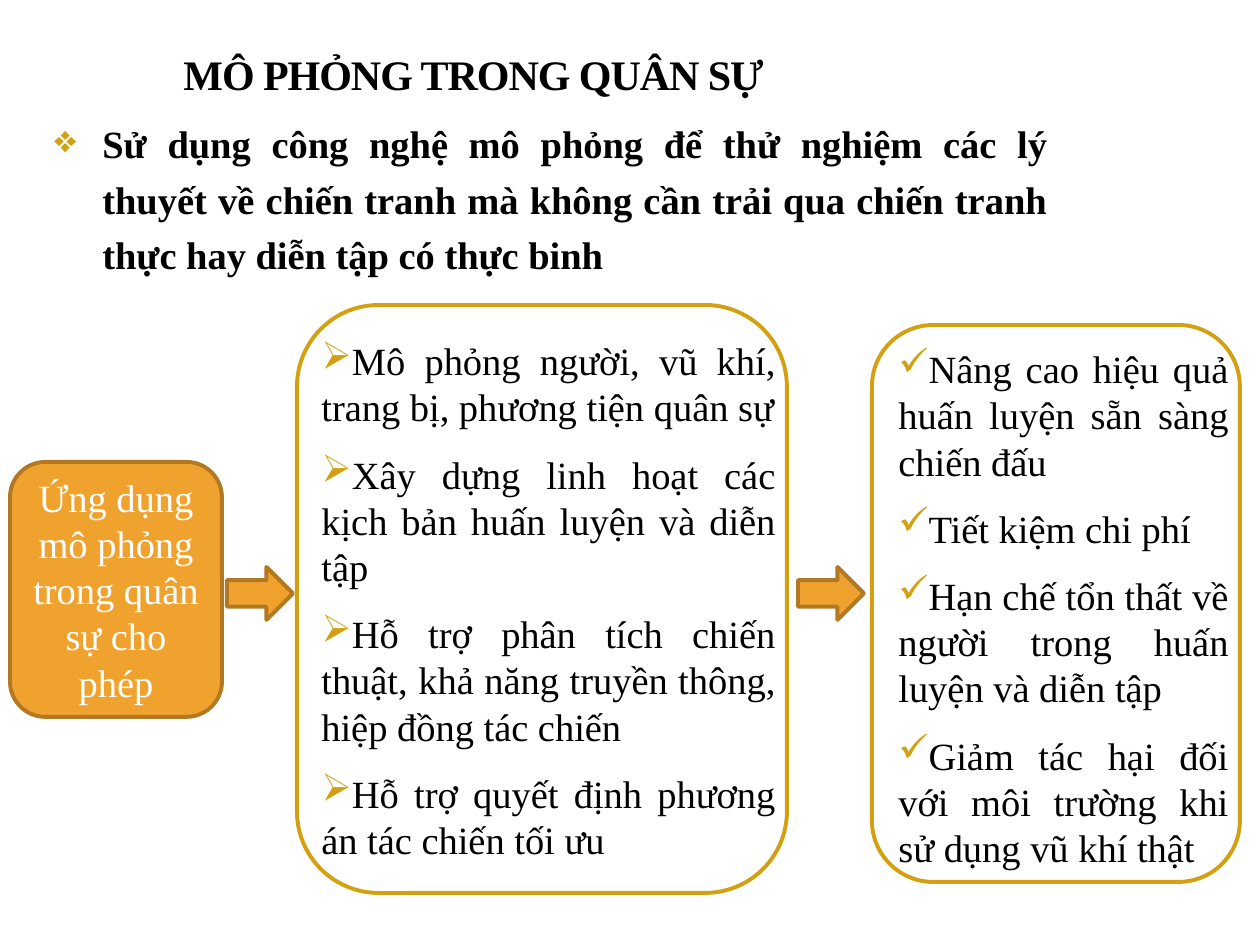
from lxml.etree import SubElement
from pptx import Presentation
from pptx.dml.color import RGBColor
from pptx.enum.shapes import MSO_SHAPE as Shape
from pptx.enum.text import MSO_ANCHOR as Anchor, MSO_AUTO_SIZE as AutoSize, PP_ALIGN as Align
from pptx.oxml.ns import qn
from pptx.util import Pt

PX = 914400 / 126
FONT = "Times New Roman"
COLORS = {
    "black": "000000",
    "white": "FFFFFF",
    "orange": "F0A22E",
    "brown": "B27822",
    "gold": "D2A010",
}


def emu(px):
    return round(px * PX)


def color(name):
    return RGBColor.from_string(COLORS[name])


def write(para, text, size=22, ink="black", bold=False, align=Align.JUSTIFY,
          bullet=None, indent=0, line=None, before=0, after=0, tracking=None):
    if bullet:
        props = para._p.get_or_add_pPr()
        props.set("marL", str(emu(indent)))
        props.set("indent", str(-emu(indent)))
        tint = SubElement(props, qn("a:buClr"))
        SubElement(tint, qn("a:srgbClr"), val=COLORS["gold"])
        SubElement(props, qn("a:buChar"), char=bullet)
    para.alignment = align
    para.space_before = Pt(before)
    para.space_after = Pt(after)
    if line:
        para.line_spacing = line
    span = para.add_run()
    span.text = text
    span.font.name = FONT
    span.font.size = Pt(size)
    span.font.bold = bold
    span.font.color.rgb = color(ink)
    if tracking:
        span._r.get_or_add_rPr().set("spc", str(round(tracking * 100)))


class SlideBuilder:
    def __init__(self, deck):
        self.page = deck.slides.add_slide(deck.slide_layouts[6])

    def shape(self, kind, left, top, width, height, fill, line, text=None):
        shape = self.page.shapes.add_shape(kind, *map(emu, (left, top, width, height)))
        shape.shadow.inherit = False
        shape.fill.solid()
        shape.fill.fore_color.rgb = color(fill)
        shape.line.color.rgb = color(line)
        shape.line.width = Pt(2.25)
        if text:
            frame = shape.text_frame
            frame.word_wrap = True
            frame.vertical_anchor = Anchor.MIDDLE
            write(frame.paragraphs[0], text, ink="white", align=Align.CENTER)

    def text(self, left, top, width, height, lines, anchor=Anchor.TOP,
             grow=False, gap=0, **style):
        box = self.page.shapes.add_textbox(*map(emu, (left, top, width, height)))
        frame = box.text_frame
        frame.word_wrap = True
        frame.vertical_anchor = anchor
        frame.auto_size = AutoSize.SHAPE_TO_FIT_TEXT if grow else AutoSize.NONE
        for index, line in enumerate(lines):
            para = frame.add_paragraph() if index else frame.paragraphs[0]
            write(para, line, before=gap if index else 0, after=gap, **style)

    def arrow(self, left):
        self.shape(Shape.RIGHT_ARROW, left, 567, 66, 53, "orange", "brown")

    def panel(self, frame, area, bullet, lines):
        self.shape(Shape.ROUNDED_RECTANGLE, *frame, "white", "gold")
        self.text(*area, lines, grow=True, gap=6, bullet=bullet)


def main():
    deck = Presentation()
    deck.slide_width, deck.slide_height = emu(1260), emu(945)
    slide = SlideBuilder(deck)

    slide.text(94, 0, 759, 105, ["MÔ PHỎNG TRONG QUÂN SỰ"], anchor=Anchor.BOTTOM,
               size=24, bold=True, align=Align.CENTER, tracking=-0.6)
    slide.text(42, 105, 1018, 171, [
        "Sử dụng công nghệ mô phỏng để thử nghiệm các lý thuyết về chiến tranh "
        "mà không cần trải qua chiến tranh thực hay diễn tập có thực binh",
    ], bold=True, bullet="❖", indent=48, line=1.2)

    slide.shape(Shape.ROUNDED_RECTANGLE, 10, 462, 212, 255, "orange", "brown",
                "Ứng dụng mô phỏng trong quân sự cho phép")
    slide.arrow(227)
    slide.panel((297, 305, 490, 588), (309, 331, 479, 543), "➢", [
        "Mô phỏng người, vũ khí, trang bị, phương tiện quân sự",
        "Xây dựng linh hoạt các kịch bản huấn luyện và diễn tập",
        "Hỗ trợ phân tích chiến thuật, khả năng truyền thông, hiệp đồng tác chiến",
        "Hỗ trợ quyết định phương án tác chiến tối ưu",
    ])
    slide.arrow(798)
    slide.panel((872, 325, 368, 557), (886, 339, 355, 543), "✓", [
        "Nâng cao hiệu quả huấn luyện sẵn sàng chiến đấu",
        "Tiết kiệm chi phí",
        "Hạn chế tổn thất về người trong huấn luyện và diễn tập",
        "Giảm tác hại đối với môi trường khi sử dụng vũ khí thật",
    ])
    deck.save("out.pptx")


if __name__ == "__main__":
    main()
